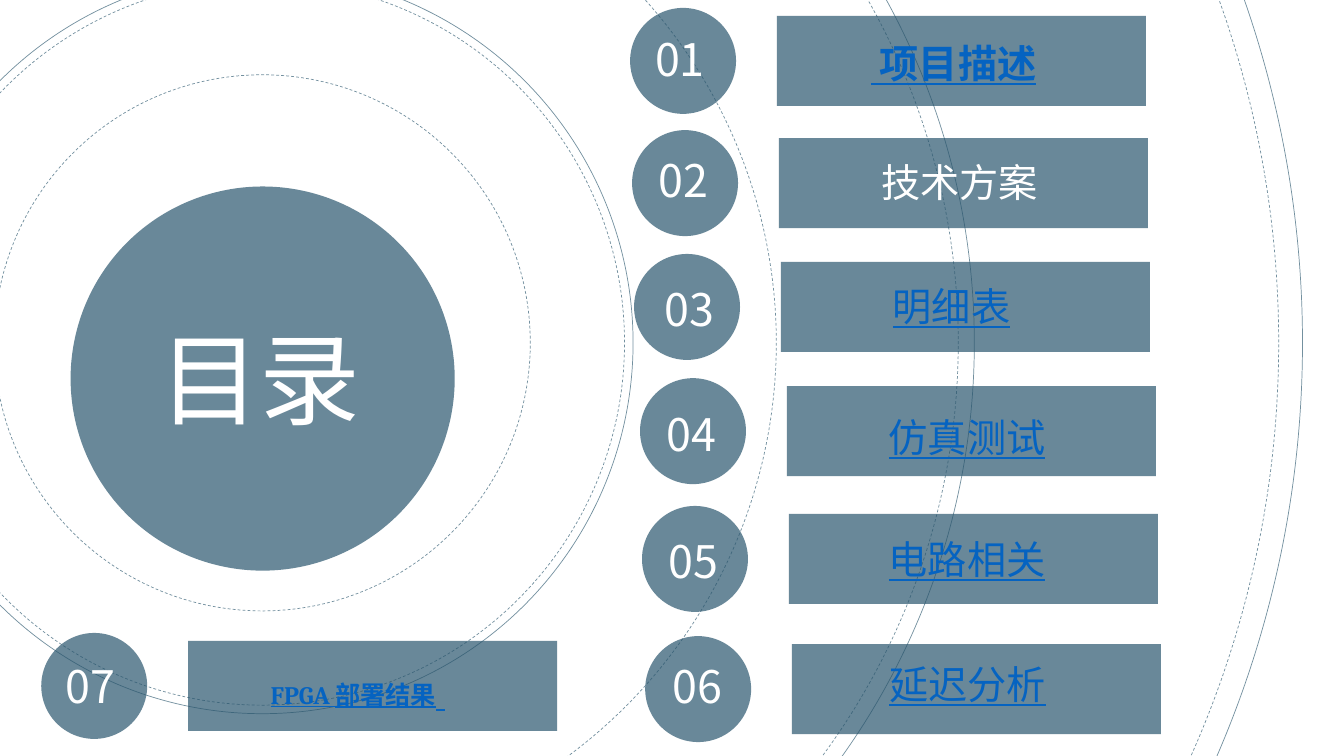
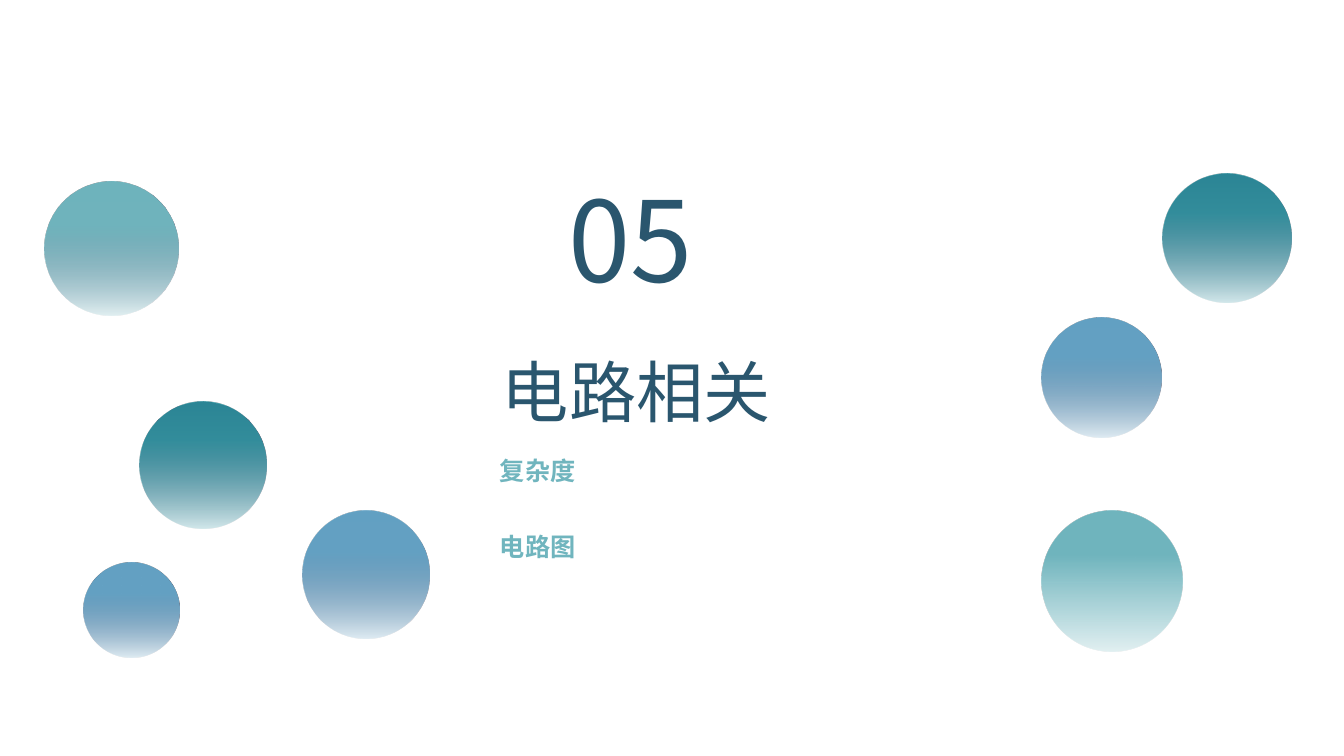
from dataclasses import dataclass

from lxml import etree
from pptx import Presentation
from pptx.dml.color import RGBColor
from pptx.enum.dml import MSO_LINE
from pptx.enum.shapes import MSO_SHAPE
from pptx.enum.text import MSO_AUTO_SIZE
from pptx.oxml.ns import qn
from pptx.util import Cm, Pt

OVAL = MSO_SHAPE.OVAL
RECTANGLE = MSO_SHAPE.RECTANGLE
DASH = MSO_LINE.DASH
GROW = MSO_AUTO_SIZE.SHAPE_TO_FIT_TEXT


@dataclass(frozen=True)
class Theme:
    """Hold the colours, fonts and type sizes of the presentation."""

    navy: str = "2A566E"
    ring: str = "73909F"
    white: str = "FFFFFF"
    link: str = "0563C1"
    aqua: str = "70B5BE"
    teal: str = "268F9C"
    blue: str = "64A2C4"
    shade: str = "555273"
    font: str = "Noto Sans CJK SC"
    serif: str = "Cambria"
    sans: str = "Arial"
    section_number: int = 80
    contents_title: int = 72
    section_title: int = 48
    item_number: int = 32
    item_label: int = 28
    small: int = 18
    panel_opacity: int = 70


THEME = Theme()
RING_CENTRE = (6.61, 8.64)
RINGS = [
    (25.91, True), (35.08, True), (35.89, False), (18.26, True),
    (18.69, False), (13.51, True), (51.23, True), (52.43, False),
]
LINKED = {"color": THEME.link, "underline": True}
ITEMS = [
    ((15.88, 0.2), (16.51, 0.81), (21.95, 0.99), " 项目描述", {**LINKED, "bold": True}),
    ((15.93, 3.28), (16.59, 3.84), (22.21, 3.99), "技术方案", {}),
    ((15.98, 6.4), (16.74, 7.09), (22.5, 7.11), "明细表", LINKED),
    ((16.13, 9.53), (16.79, 10.24), (22.4, 10.41), "仿真测试", LINKED),
    ((16.18, 12.75), (16.84, 13.46), (22.4, 13.49), "电路相关", LINKED),
    ((16.26, 16.03), (16.94, 16.61), (22.41, 16.64), "延迟分析", LINKED),
    ((1.04, 15.95), (1.65, 16.61), (6.82, 16.76), "FPGA ",
     {**LINKED, "bold": True, "size": THEME.small, "font": THEME.serif}),
]
BUBBLES = [
    (26.26, 12.88, 3.53, THEME.aqua, 100, False),
    (1.12, 4.57, 3.38, THEME.aqua, 100, True),
    (3.51, 10.11, 3.2, THEME.teal, 85, True),
    (7.62, 12.88, 3.2, THEME.blue, 100, True),
    (26.26, 8, 3.02, THEME.blue, 100, True),
    (29.29, 4.37, 3.25, THEME.teal, 85, True),
    (2.11, 14.17, 2.41, THEME.blue, 100, True),
]


def set_opacity(color_element, percent):
    """Give a colour element an opacity in percent."""
    if percent < 100:
        alpha = etree.SubElement(color_element, qn("a:alpha"))
        alpha.set("val", str(percent * 1000))


def paint_gradient(fill, owner, color, start, opacities):
    """Fade one colour downwards between two opacities."""
    fill.gradient()
    fill.gradient_angle = 270
    for stop, position in zip(fill.gradient_stops, (start, 1)):
        stop.position = position
        stop.color.rgb = RGBColor.from_string(color)
    for stop, opacity in zip(owner.iter(qn("a:gs")), opacities):
        set_opacity(stop.find(qn("a:srgbClr")), opacity)


def add_figure(slide, kind, left, top, width, height):
    """Add a plain shape without line, fill or shadow."""
    shape = slide.shapes.add_shape(kind, Cm(left), Cm(top), Cm(width), Cm(height))
    shape.shadow.inherit = False
    shape.line.fill.background()
    shape.fill.background()
    return shape


def add_panel(slide, kind, left, top, width, height):
    """Add a translucent navy shape."""
    shape = add_figure(slide, kind, left, top, width, height)
    shape.fill.solid()
    shape.fill.fore_color.rgb = RGBColor.from_string(THEME.navy)
    color_element = shape._element.spPr.find(qn("a:solidFill")).find(qn("a:srgbClr"))
    set_opacity(color_element, THEME.panel_opacity)


def add_ring(slide, diameter, dashed):
    """Add one of the concentric orbit lines."""
    left, top = (centre - diameter / 2 for centre in RING_CENTRE)
    shape = add_figure(slide, OVAL, left, top, diameter, diameter)
    shape.line.color.rgb = RGBColor.from_string(THEME.ring)
    shape.line.width = Pt(0.5)
    if dashed:
        shape.line.dash_style = DASH


def add_bubble(slide, left, top, diameter, color, opacity, shaded):
    """Add a fading disc, with a darker disc below it if shaded."""
    layers = [(THEME.shade, 0, (100, 0))] if shaded else []
    layers.append((color, 0.31, (opacity, 20)))
    for layer_color, start, opacities in layers:
        shape = add_figure(slide, OVAL, left, top, diameter, diameter)
        paint_gradient(shape.fill, shape._element, layer_color, start, opacities)


def write_run(paragraph, text, size=THEME.item_label, color=THEME.white,
              font=THEME.font, bold=False, underline=False, fade=None):
    """Write formatted text, with an optional fade of start and end opacity."""
    run = paragraph.add_run()
    run.text = text
    run.font.size = Pt(size)
    run.font.bold = bold
    run.font.underline = underline
    run.font.name = font
    latin = run._r.find(qn("a:rPr")).find(qn("a:latin"))
    east_asian = etree.Element(qn("a:ea"))
    east_asian.set("typeface", font)
    latin.addnext(east_asian)
    if fade:
        start, end_opacity = fade
        paint_gradient(run.font.fill, run._r, color, start, (100, end_opacity))
    else:
        run.font.color.rgb = RGBColor.from_string(color)


def add_text(slide, left, top, width, text, **text_format):
    """Add a text box without margins and return its paragraph."""
    height = Pt(text_format.get("size", THEME.item_label) * 1.2)
    box = slide.shapes.add_textbox(Cm(left), Cm(top), Cm(width), height)
    frame = box.text_frame
    frame.margin_left = frame.margin_right = 0
    frame.margin_top = frame.margin_bottom = 0
    frame.word_wrap = True
    frame.auto_size = GROW
    paragraph = frame.paragraphs[0]
    write_run(paragraph, text, **text_format)
    return paragraph


def build_contents(slide):
    """Build the contents slide."""
    add_panel(slide, OVAL, 1.78, 4.7, 9.68, 9.68)
    for diameter, dashed in RINGS:
        add_ring(slide, diameter, dashed)
    add_text(slide, 4.01, 7.98, 5.4, "目录", size=THEME.contents_title)
    for number, item in enumerate(ITEMS, 1):
        (left, top), number_place, label_place, label, label_format = item
        add_panel(slide, OVAL, left, top, 2.67, 2.67)
        add_panel(slide, RECTANGLE, left + 3.7, top + 0.2, 9.3, 2.27)
        add_text(slide, *number_place, 1.7, f"{number:02}", size=THEME.item_number)
        paragraph = add_text(slide, *label_place, 5.1, label, **label_format)
    write_run(paragraph, "部署结果", **{**label_format, "font": THEME.sans})
    write_run(paragraph, " ", **LINKED)


def build_section(slide):
    """Build the section slide."""
    for bubble in BUBBLES:
        add_bubble(slide, *bubble)
    add_text(slide, 14.33, 4.29, 6.25, "05", size=THEME.section_number,
             color=THEME.navy, fade=(0, 0))
    add_text(slide, 12.65, 8.84, 8.6, "电路相关", size=THEME.section_title,
             color=THEME.navy, fade=(0.4, 30))
    for top, topic in ((11.48, "复杂度"), (13.39, "电路图")):
        add_text(slide, 12.6, top, 16.4, topic, size=THEME.small,
                 color=THEME.aqua, font=THEME.sans, bold=True)


def main():
    """Build and save the presentation."""
    presentation = Presentation()
    presentation.slide_width = Cm(33.87)
    presentation.slide_height = Cm(19.05)
    for build in (build_contents, build_section):
        build(presentation.slides.add_slide(presentation.slide_layouts[6]))
    presentation.save("out.pptx")


if __name__ == "__main__":
    main()
